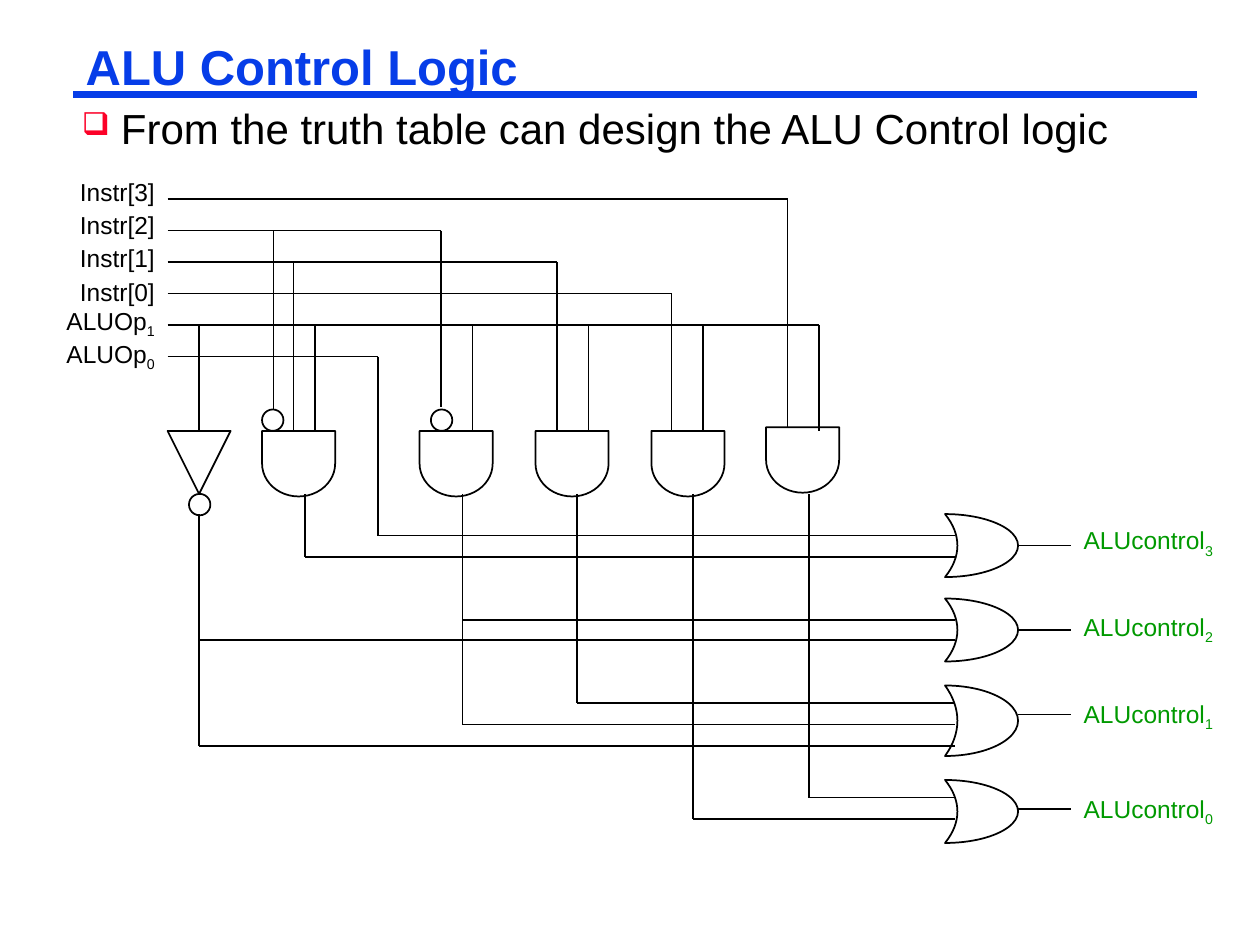
from lxml import etree
from pptx import Presentation
from pptx.dml.color import RGBColor
from pptx.enum import shapes, text
from pptx.oxml.ns import qn
from pptx.util import Inches, Pt

BLUE = RGBColor(0x06, 0x3D, 0xE8)
BLACK = RGBColor(0, 0, 0)
GREEN = RGBColor(0, 0x99, 0)
BULLET_RED = "FC0128"

# label, subscript, right end of the wire, {tap x: tap bottom}
INPUTS = [
    ("Instr[3]", "", 6.25, {6.25: 3.39}),
    ("Instr[2]", "", 3.5, {2.17: 3.25, 3.5: 3.23}),
    ("Instr[1]", "", 4.42, {2.33: 3.42, 4.42: 3.42}),
    ("Instr[0]", "", 5.33, {5.33: 3.42}),
    ("ALUOp", "1", 6.5, {x: 3.42 for x in (1.58, 2.5, 3.75, 4.67, 5.58, 6.5)}),
    ("ALUOp", "0", 3, {3: 4.25}),
]
INPUT_LEFT, INPUT_TOP, INPUT_STEP = 1.33, 1.58, 0.25

# left, top of each AND gate as it stands, outlet down
AND_GATES = [(2.08, 3.42), (3.33, 3.42), (4.25, 3.42), (5.17, 3.42), (6.08, 3.39)]
BUBBLES = [(2.08, 3.25), (3.42, 3.25), (1.5, 3.92)]

# x and top of each vertical wire, then the heights where it feeds an OR gate
FEEDS = [
    (1.58, 4.08, [5.08, 5.92]),
    (2.42, 3.92, [4.42]),
    (3, 4.25, [4.25]),
    (3.67, 3.92, [4.92, 5.75]),
    (4.58, 3.92, [5.58]),
    (5.5, 3.92, [6.5]),
    (6.42, 3.92, [6.33]),
]
OR_INLET = 7.58

# subscript, gate top, gate height, wire height, label top
OUTPUTS = [
    ("3", 4.08, 0.5, 4.33, 4.14),
    ("2", 4.75, 0.5, 5, 4.83),
    ("1", 5.44, 0.56, 5.67, 5.52),
    ("0", 6.19, 0.5, 6.42, 6.27),
]


def set_all(target, values):
    for name, value in values.items():
        setattr(target, name, value)


def set_font(font, size, color, bold=False):
    set_all(font, {"name": "Arial", "size": Pt(size), "bold": bold})
    font.color.rgb = color


def add_wire(slide, start, end, color=BLACK, width=1):
    points = [Inches(value) for value in (*start, *end)]
    wire = slide.shapes.add_connector(shapes.MSO_CONNECTOR.STRAIGHT, *points)
    wire.line.color.rgb = color
    wire.line.width = Pt(width)
    etree.SubElement(wire._element.spPr, qn("a:effectLst"))


def add_symbol(slide, kind, left, top, width, height, rotation=0):
    """Add an outlined gate part; the box is the one before rotation."""
    box = [Inches(value) for value in (left, top, width, height)]
    symbol = slide.shapes.add_shape(kind, *box)
    symbol.rotation = rotation
    symbol.shadow.inherit = False
    symbol.fill.background()
    symbol.line.color.rgb = BLACK
    symbol.line.width = Pt(1)
    return symbol


def add_and_gate(slide, left, top, width=0.58, height=0.52):
    """Place the gate by its upright box, turned so that it points down."""
    shift = (width - height) / 2
    add_symbol(slide, shapes.MSO_SHAPE.FLOWCHART_DELAY,
               left + shift, top - shift, height, width, 90)


def add_text_frame(slide, left, top, width, height, side, wrap):
    box = [Inches(value) for value in (left, top, width, height)]
    frame = slide.shapes.add_textbox(*box).text_frame
    set_all(frame, {
        "margin_left": Inches(side), "margin_right": Inches(side),
        "margin_top": Inches(0.03), "margin_bottom": Inches(0.03),
        "word_wrap": wrap,
    })
    return frame


def write_label(paragraph, label, subscript, color):
    run = paragraph.add_run()
    run.text = label
    set_font(run.font, 14, color)
    if subscript:
        index = paragraph.add_run()
        index.text = subscript
        set_font(index.font, 14, color)
        index.font._element.set("baseline", "-25000")


def add_title(slide):
    title = slide.shapes.title
    set_all(title, {"left": Inches(0.58), "top": Inches(0.33),
                    "width": Inches(8.92), "height": Inches(0.46)})
    frame = title.text_frame
    frame.text = "ALU Control Logic"
    set_all(frame, {"vertical_anchor": text.MSO_ANCHOR.MIDDLE,
                    "auto_size": text.MSO_AUTO_SIZE.NONE})
    paragraph = frame.paragraphs[0]
    set_all(paragraph, {"alignment": text.PP_ALIGN.LEFT, "line_spacing": 0.87})
    set_font(paragraph.runs[0].font, 28, BLUE, bold=True)
    add_wire(slide, (0.58, 0.75), (9.5, 0.75), BLUE, 4.5)


def add_bullet(slide):
    frame = add_text_frame(slide, 0.58, 0.83, 9, 0.47, 0.07, True)
    paragraph = frame.paragraphs[0]
    paragraph.line_spacing = 0.9
    properties = paragraph._p.get_or_add_pPr()
    properties.set("marL", str(Inches(0.31)))
    properties.set("indent", str(-Inches(0.31)))
    color = etree.SubElement(properties, qn("a:buClr"))
    etree.SubElement(color, qn("a:srgbClr"), val=BULLET_RED)
    etree.SubElement(properties, qn("a:buSzPct"), val="75000")
    etree.SubElement(properties, qn("a:buChar"), char="❑")
    run = paragraph.add_run()
    run.text = "From the truth table can design the ALU Control logic"
    set_font(run.font, 24, BLACK)


def add_inputs(slide):
    frame = add_text_frame(slide, 0.42, 1.51, 0.83, 1.57, 0.02, False)
    for row, (label, subscript, right, taps) in enumerate(INPUTS):
        paragraph = frame.add_paragraph() if row else frame.paragraphs[0]
        set_all(paragraph, {
            "alignment": text.PP_ALIGN.RIGHT, "line_spacing": Pt(7),
            "space_before": Pt(6 if row else 0), "space_after": Pt(6),
        })
        write_label(paragraph, label, subscript, BLACK)
        y = INPUT_TOP + row * INPUT_STEP
        add_wire(slide, (INPUT_LEFT, y), (right, y))
        for x, bottom in taps.items():
            add_wire(slide, (x, y), (x, bottom))


def add_gates(slide):
    add_symbol(slide, shapes.MSO_SHAPE.ISOSCELES_TRIANGLE, 1.33, 3.42, 0.5, 0.5, 180)
    for left, top in AND_GATES:
        add_and_gate(slide, left, top)
    for left, top in BUBBLES:
        add_symbol(slide, shapes.MSO_SHAPE.OVAL, left, top, 0.17, 0.17)


def add_feeds(slide):
    for x, top, levels in FEEDS:
        if levels[-1] > top:
            add_wire(slide, (x, top), (x, levels[-1]))
        for y in levels:
            add_wire(slide, (x, y), (OR_INLET, y))


def add_outputs(slide):
    for subscript, top, height, wire_y, label_top in OUTPUTS:
        gate = add_symbol(slide, shapes.MSO_SHAPE.MOON, 7.5, top, 0.58, height, 180)
        gate.adjustments[0] = 0.83
        add_wire(slide, (8.08, wire_y), (8.5, wire_y))
        frame = add_text_frame(slide, 8.58, label_top, 1.2, 0.36, 0.02, True)
        write_label(frame.paragraphs[0], "ALUcontrol", subscript, GREEN)


def main():
    presentation = Presentation()
    presentation.slide_width = Inches(10)
    presentation.slide_height = Inches(7.5)
    slide = presentation.slides.add_slide(presentation.slide_layouts[5])
    add_title(slide)
    add_bullet(slide)
    add_inputs(slide)
    add_gates(slide)
    add_feeds(slide)
    add_outputs(slide)
    presentation.save("out.pptx")


if __name__ == "__main__":
    main()
